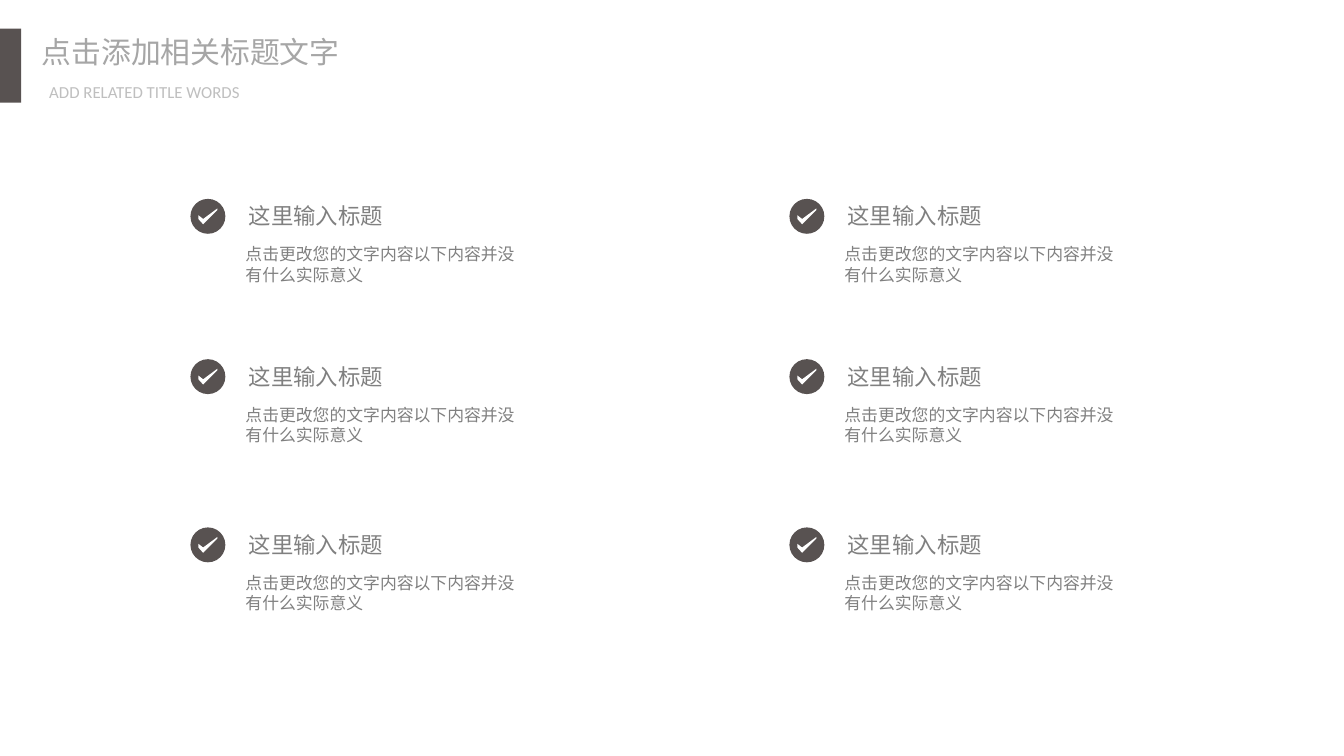
"""Build a slide with a title band and a grid of six checked points."""
import dataclasses

import lxml.etree
import pptx
import pptx.dml.color
import pptx.enum.shapes
import pptx.enum.text
import pptx.oxml.ns
import pptx.util

Cm = pptx.util.Cm
ALIGN = pptx.enum.text.PP_ALIGN
ANCHOR = pptx.enum.text.MSO_ANCHOR
SHAPES = pptx.enum.shapes.MSO_SHAPE

CJK_FONT = "Noto Sans CJK SC"
DARK, WHITE, GREY = "585251", "FFFFFF", "808080"
HEADING = "这里输入标题"
DETAIL = "点击更改您的文字内容以下内容并没有什么实际意义"
COLUMN_LEFTS = (3.6, 14.92)
ROW_TOPS = (3.76, 6.79, 9.97)
ICON_SIZE = 0.66
TICK = ((0.15, 0.38), (0.24, 0.48), (0.51, 0.21), (0.51, 0.18), (0.24, 0.38), (0.15, 0.31))


@dataclasses.dataclass(frozen=True)
class Area:
    """Position and size in centimetres."""
    left: float
    top: float
    width: float
    height: float

    def lengths(self) -> tuple:
        """Return the four values as slide lengths."""
        return tuple(Cm(value) for value in dataclasses.astuple(self))


@dataclasses.dataclass(frozen=True)
class TextStyle:
    """Look of a block of text; insets run left, top, right, bottom."""
    size: float
    color: str
    font: str = CJK_FONT
    align: ALIGN = ALIGN.LEFT
    anchor: ANCHOR = ANCHOR.MIDDLE
    insets: tuple = (0.25, 0.13, 0.25, 0.13)
    wrap: bool = True


@dataclasses.dataclass(frozen=True)
class CheckPoint:
    """Corner of one checked point in centimetres."""
    left: float
    top: float


TITLE_STYLE = TextStyle(16, "A6A6A6", anchor=ANCHOR.TOP, insets=(0.19, 0.1, 0.19, 0.1), wrap=False)
SUBTITLE_STYLE = dataclasses.replace(
    TITLE_STYLE, size=9, color="BFBFBF", font="Calibri", align=ALIGN.JUSTIFY, wrap=True)
HEADING_STYLE = TextStyle(12, GREY)
DETAIL_STYLE = TextStyle(9, GREY, insets=(0, 0.13, 0.25, 0.13))


def rgb(color: str) -> pptx.dml.color.RGBColor:
    """Turn a hex string into a colour."""
    return pptx.dml.color.RGBColor.from_string(color)


def paint(shape, color: str) -> None:
    """Give a shape a flat fill without line or shadow."""
    shape.fill.solid()
    shape.fill.fore_color.rgb = rgb(color)
    shape.line.fill.background()
    shape.shadow.inherit = False


def write(box, area: Area, text: str, style: TextStyle) -> None:
    """Place a box and write one styled paragraph in it."""
    box.left, box.top, box.width, box.height = area.lengths()
    frame = box.text_frame
    frame.auto_size = pptx.enum.text.MSO_AUTO_SIZE.NONE
    frame.word_wrap = style.wrap
    frame.vertical_anchor = style.anchor
    (frame.margin_left, frame.margin_top,
     frame.margin_right, frame.margin_bottom) = map(Cm, style.insets)
    para = frame.paragraphs[0]
    para.alignment = style.align
    para.space_before = pptx.util.Pt(0)
    span = para.add_run()
    span.text = text
    span.font.size = pptx.util.Pt(style.size)
    span.font.bold = False
    span.font.name = style.font
    span.font.color.rgb = rgb(style.color)
    east_asian = lxml.etree.SubElement(span.font._element, pptx.oxml.ns.qn("a:ea"))
    east_asian.set("typeface", style.font)


def draw_icon(page, point: CheckPoint) -> None:
    """Draw a round badge with a tick."""
    shapes = page.shapes.add_group_shape().shapes
    badge = Area(point.left, point.top, ICON_SIZE, ICON_SIZE)
    paint(shapes.add_shape(SHAPES.OVAL, *badge.lengths()), DARK)
    start, *rest = [(Cm(point.left + x), Cm(point.top + y)) for x, y in TICK]
    builder = shapes.build_freeform(*start)
    builder.add_line_segments(rest, close=True)
    paint(builder.convert_to_shape(), WHITE)


def draw_point(page, point: CheckPoint) -> None:
    """Draw the badge, heading and detail of one point."""
    draw_icon(page, point)
    shapes = page.shapes.add_group_shape().shapes
    heading = Area(point.left + 0.85, point.top + 0.02, 3.6, 0.6)
    detail = Area(point.left + 1.04, point.top + 0.6, 5.52, 1.27)
    for area, text, style in ((heading, HEADING, HEADING_STYLE), (detail, DETAIL, DETAIL_STYLE)):
        write(shapes.add_textbox(*area.lengths()), area, text, style)


def main() -> None:
    """Assemble and save the deck."""
    deck = pptx.Presentation()
    deck.slide_width, deck.slide_height = Cm(25.4), Cm(14.29)
    page = deck.slides.add_slide(deck.slide_layouts.get_by_name("Section Header"))
    band = Area(0, 0.54, 0.4, 1.4)
    paint(page.shapes.add_shape(SHAPES.RECTANGLE, *band.lengths()), DARK)
    write(page.shapes.title, Area(0.6, 0.54, 6.1, 0.9), "点击添加相关标题文字", TITLE_STYLE)
    write(page.placeholders[1], Area(0.74, 1.45, 5.66, 0.58),
          "ADD RELATED TITLE WORDS", SUBTITLE_STYLE)
    for top in ROW_TOPS:
        for left in COLUMN_LEFTS:
            draw_point(page, CheckPoint(left, top))
    deck.save("out.pptx")


main()
